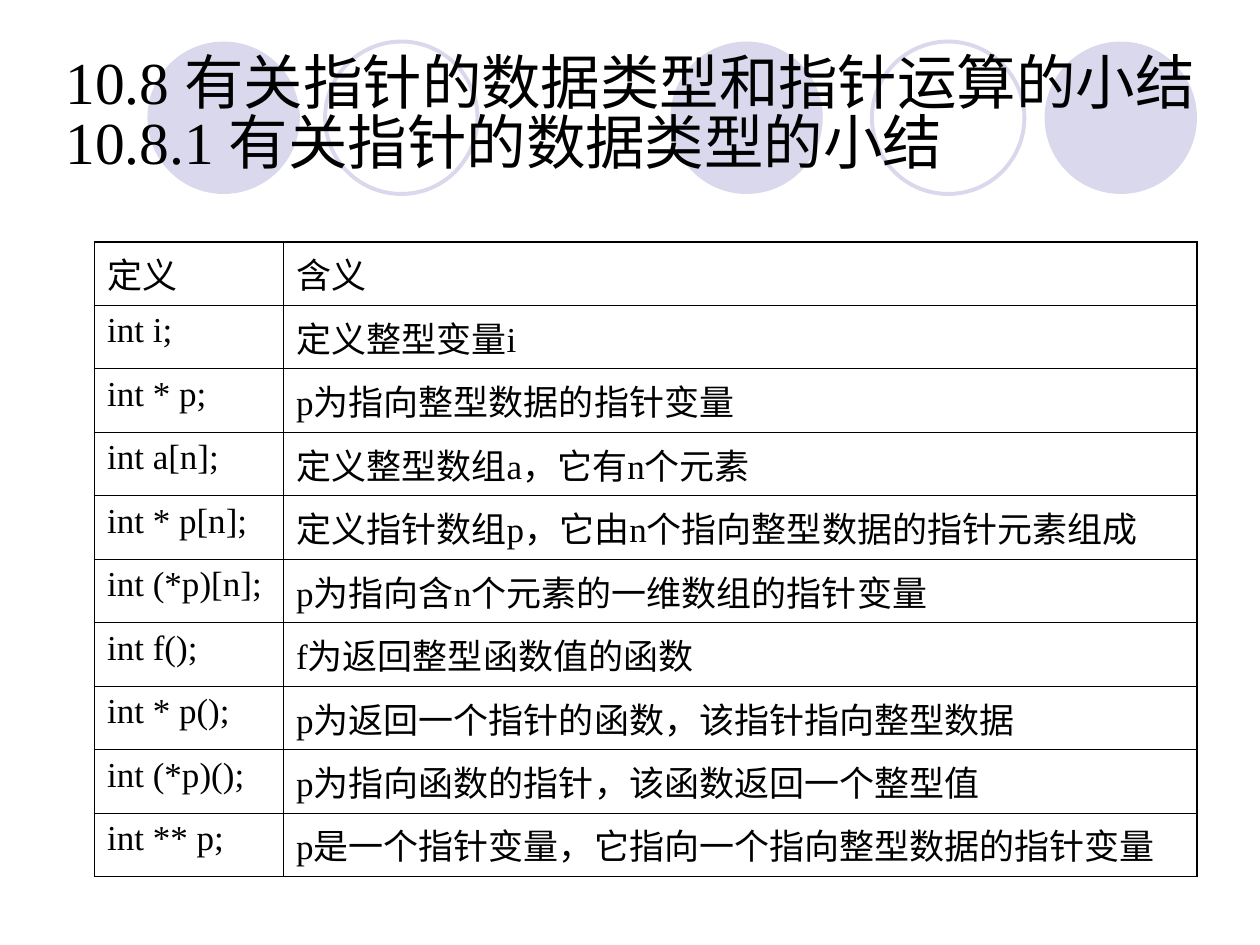
"""Build a slide summing up the data types related to pointers."""
from lxml.etree import SubElement
from pptx import Presentation
from pptx.dml.color import RGBColor
from pptx.enum.shapes import MSO_SHAPE
from pptx.enum.text import MSO_ANCHOR, MSO_AUTO_SIZE, PP_ALIGN
from pptx.oxml.ns import qn
from pptx.util import Inches, Pt

TITLE = ["10.8 有关指针的数据类型和指针运算的小结", "10.8.1 有关指针的数据类型的小结"]
ROWS = [
    ("定义", "含义"),
    ("int i;", "定义整型变量i"),
    ("int * p;", "p为指向整型数据的指针变量"),
    ("int a[n];", "定义整型数组a，它有n个元素"),
    ("int * p[n];", "定义指针数组p，它由n个指向整型数据的指针元素组成"),
    ("int (*p)[n];", "p为指向含n个元素的一维数组的指针变量"),
    ("int f();", "f为返回整型函数值的函数"),
    ("int * p();", "p为返回一个指针的函数，该指针指向整型数据"),
    ("int (*p)();", "p为指向函数的指针，该函数返回一个整型值"),
    ("int ** p;", "p是一个指针变量，它指向一个指向整型数据的指针变量"),
]
CIRCLES = [(1.17, True), (2.58, False), (5.32, True), (6.92, False), (8.29, True)]
COL_WIDTHS = (1.5, 7.25)
ROW_HEIGHT = 0.44
INK, LILAC = "000000", "D9D8EC"
THIN, THICK = 0.45, 1.08


def rgb(code):
    return RGBColor.from_string(code)


def box(*lengths):
    return [Inches(v) for v in lengths]


def set_font(p, size):
    for name, value in {"name": "Times New Roman", "size": Pt(size), "bold": False}.items():
        setattr(p.font, name, value)
    p.font.color.rgb = rgb(INK)


def add_circle(s, left, filled):
    c = s.shapes.add_shape(MSO_SHAPE.OVAL, *box(left, 0.33, 1.21, 1.21))
    c.shadow.inherit = False
    if filled:
        c.fill.solid()
        c.fill.fore_color.rgb = rgb(LILAC)
        c.line.fill.background()
    else:
        c.fill.background()
        c.line.color.rgb = rgb(LILAC)
        c.line.width = Pt(2.25)


def set_borders(cell, outer):
    tc_pr = cell._tc.get_or_add_tcPr()
    for side in "LRTB":
        width = THICK if outer[side] else THIN
        ln = SubElement(tc_pr, qn(f"a:ln{side}"), w=str(Pt(width)))
        SubElement(SubElement(ln, qn("a:solidFill")), qn("a:srgbClr"), val=INK)


def add_title(s):
    title = s.shapes.title
    title.left, title.top, title.width, title.height = box(0.42, 0.3, 9.58, 1.25)
    tf = title.text_frame
    tf.text = "\v".join(TITLE)
    for name, value in {"auto_size": MSO_AUTO_SIZE.NONE, "word_wrap": True,
                        "vertical_anchor": MSO_ANCHOR.MIDDLE}.items():
        setattr(tf, name, value)
    p = tf.paragraphs[0]
    p.alignment, p.line_spacing = PP_ALIGN.LEFT, 0.84
    set_font(p, 34)
    s.shapes._spTree.append(title._element)


def add_definitions(s):
    n_rows, n_cols = len(ROWS), len(COL_WIDTHS)
    table = s.shapes.add_table(
        n_rows, n_cols, *box(0.75, 1.92, sum(COL_WIDTHS), n_rows * ROW_HEIGHT)).table
    table.first_row = table.horz_banding = False
    for col, width in zip(table.columns, COL_WIDTHS):
        col.width = Inches(width)
    for i, texts in enumerate(ROWS):
        for j, text in enumerate(texts):
            cell = table.cell(i, j)
            cell.text = text
            set_font(cell.text_frame.paragraphs[0], 20)
            set_borders(cell, {"L": j == 0, "R": j == n_cols - 1,
                               "T": i == 0, "B": i == n_rows - 1})
            cell.fill.background()


def main():
    prs = Presentation()
    prs.slide_width, prs.slide_height = box(10, 7.5)
    s = prs.slides.add_slide(prs.slide_layouts[5])
    for left, filled in CIRCLES:
        add_circle(s, left, filled)
    add_title(s)
    add_definitions(s)
    prs.save("out.pptx")


if __name__ == "__main__":
    main()
